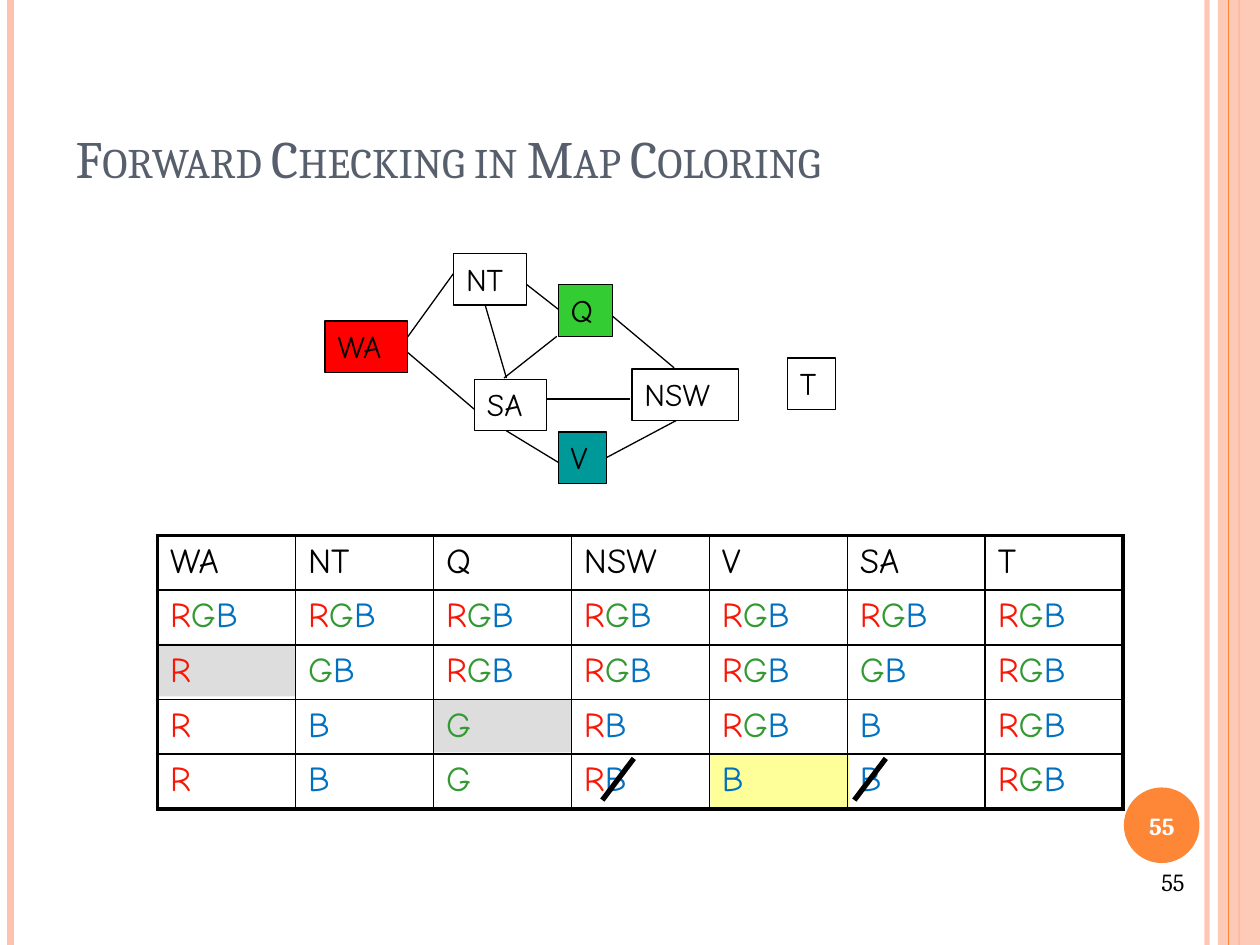
from dataclasses import dataclass

from lxml import etree
from pptx import Presentation
from pptx.dml.color import RGBColor
from pptx.enum.shapes import MSO_CONNECTOR, MSO_SHAPE
from pptx.enum.text import MSO_ANCHOR, PP_ALIGN
from pptx.oxml import parse_xml
from pptx.oxml.ns import nsdecls, qn
from pptx.util import Pt

STRAIGHT = MSO_CONNECTOR.STRAIGHT
RECTANGLE, OVAL = MSO_SHAPE.RECTANGLE, MSO_SHAPE.OVAL
LEFT, CENTER, RIGHT = PP_ALIGN.LEFT, PP_ALIGN.CENTER, PP_ALIGN.RIGHT
TOP, MIDDLE, BOTTOM = MSO_ANCHOR.TOP, MSO_ANCHOR.MIDDLE, MSO_ANCHOR.BOTTOM

SERIF, HAND = "Cambria", "Comic Neue"
BLACK, WHITE, ORANGE, PEACH = "000000", "FFFFFF", "FE8637", "FEC3AE"
RIGHT_SIDE = 3
NODE_HEIGHT = 29.5
TABLE_LEFT, TABLE_TOP, TABLE_WIDTH, ROW_HEIGHT = 90, 306, 552, 30.25
LETTER_COLORS = {"R": "F81706", "G": "339933", "B": "0070C0"}
HEADERS = ["WA", "NT", "Q", "NSW", "V", "SA", "T"]
DOMAINS = [
    ["RGB"] * 7,
    ["R", "GB", "RGB", "RGB", "RGB", "GB", "RGB"],
    ["R", "B", "G", "RB", "RGB", "B", "RGB"],
    ["R", "B", "G", "RB", "B", "B", "RGB"],
]


@dataclass
class Box:
    left: float
    top: float
    width: float
    height: float
    fill: str
    opacity: int = 100


@dataclass
class Region:
    name: str
    left: float
    top: float
    width: float
    fill: str = WHITE


@dataclass
class Line:
    x1: float
    y1: float
    x2: float
    y2: float
    width: float = 0.75
    color: str = BLACK
    opacity: int = 100
    begin_region: str = ""


STRIPES = [
    Line(689.8, 0, 689.8, 540, 3, PEACH, 93),
    Line(6, 0, 6, 540, 4.5, PEACH),
    Line(708, 0, 708, 540, 1.5, ORANGE),
]
SIDE_BAND = Box(696, 0, 24, 540, PEACH, 87)
BAND_LINE = Line(702, 0, 702, 540, 0.75, ORANGE)
NUMBER_DISC = Box(642.25, 450, 43.2, 43.2, ORANGE)
HIGHLIGHTS = [
    Box(89.3, 368, 79.2, 30, "DDDDDD"),
    Box(406, 431.25, 79.2, 30, "FFFF99"),
    Box(247.7, 400, 79.2, 30, "DDDDDD"),
]
REGIONS = [
    Region("T", 450, 204.6, 27.5),
    Region("WA", 185.8, 183.4, 47, "FF0000"),
    Region("NT", 259.2, 144.8, 41.8),
    Region("SA", 271.2, 216.7, 41),
    Region("Q", 319, 162.7, 31, "33CC33"),
    Region("NSW", 361.2, 210.8, 61),
    Region("V", 319, 246.8, 27.5, "009999"),
]
BORDERS = [
    Line(229, 198, 259.2, 156.2),
    Line(229, 198, 271.2, 234),
    Line(277.2, 174.2, 289.4, 216),
    Line(289.4, 246.2, 319, 264.2),
    Line(349.2, 180, 385.2, 210.2),
    Line(297.4, 159.8, 320.4, 177.8),
    Line(346.5, 261.5, 387.4, 239.8, begin_region="V"),
    Line(318.2, 192.2, 288, 216),
    Line(306, 228, 360, 228),
]
STRIKES = [Line(x, 457.2, x + 18, 433.4, 3) for x in (488.2, 344.2)]


def rgb(color: str) -> RGBColor:
    return RGBColor.from_string(color)


def set_opacity(fill_parent, percent: int) -> None:
    if percent < 100:
        color = fill_parent.find(".//" + qn("a:srgbClr"))
        etree.SubElement(color, qn("a:alpha"), val=str(percent * 1000))


def format_text(paragraph, size: float, name: str, color: str, align=LEFT, bold=False) -> None:
    paragraph.alignment = align
    font = paragraph.font
    font.size, font.name, font.bold = Pt(size), name, bold
    font.color.rgb = rgb(color)


def draw_line(slide, line: Line):
    connector = slide.shapes.add_connector(
        STRAIGHT, Pt(line.x1), Pt(line.y1), Pt(line.x2), Pt(line.y2))
    connector.line.width = Pt(line.width)
    connector.line.color.rgb = rgb(line.color)
    properties = connector._element.spPr
    set_opacity(properties, line.opacity)
    etree.SubElement(properties, qn("a:effectLst"))
    return connector


def draw_box(slide, box: Box, kind=RECTANGLE):
    shape = slide.shapes.add_shape(
        kind, Pt(box.left), Pt(box.top), Pt(box.width), Pt(box.height))
    shape.shadow.inherit = False
    shape.fill.solid()
    shape.fill.fore_color.rgb = rgb(box.fill)
    shape.line.fill.background()
    set_opacity(shape._element.spPr, box.opacity)
    return shape


def draw_region(slide, region: Region):
    shape = draw_box(slide, Box(region.left, region.top, region.width, NODE_HEIGHT, region.fill))
    shape.line.width = Pt(0.75)
    shape.line.color.rgb = rgb(BLACK)
    frame = shape.text_frame
    frame.word_wrap, frame.vertical_anchor = True, TOP
    frame.text = region.name
    format_text(frame.paragraphs[0], 18, HAND, BLACK)
    return shape


def draw_map(slide) -> None:
    nodes = {region.name: draw_region(slide, region) for region in REGIONS}
    for border in BORDERS:
        connector = draw_line(slide, border)
        if border.begin_region:
            connector.begin_connect(nodes[border.begin_region], RIGHT_SIDE)
        nodes["WA"]._element.addprevious(connector._element)


def set_cell_borders(cell, row: int, column: int) -> None:
    outer = {"L": column == 0, "R": column == len(HEADERS) - 1,
             "T": row == 0, "B": row == len(DOMAINS)}
    properties = cell._tc.get_or_add_tcPr()
    for index, (side, is_outer) in enumerate(outer.items()):
        width = Pt(2.25 if is_outer else 1)
        properties.insert(index, parse_xml(
            f'<a:ln{side} {nsdecls("a")} w="{width}"><a:solidFill>'
            f'<a:srgbClr val="{BLACK}"/></a:solidFill></a:ln{side}>'))


def draw_table(slide) -> None:
    rows = [HEADERS] + DOMAINS
    table = slide.shapes.add_table(
        len(rows), len(HEADERS), Pt(TABLE_LEFT), Pt(TABLE_TOP),
        Pt(TABLE_WIDTH), Pt(ROW_HEIGHT * len(rows))).table
    table.first_row = table.horz_banding = False
    for row, texts in enumerate(rows):
        for column, text in enumerate(texts):
            cell = table.cell(row, column)
            cell.fill.background()
            set_cell_borders(cell, row, column)
            paragraph = cell.text_frame.paragraphs[0]
            format_text(paragraph, 20, HAND, BLACK)
            for part in text if row else [text]:
                run = paragraph.add_run()
                run.text = part
                if row:
                    run.font.color.rgb = rgb(LETTER_COLORS[part])


def draw_number(slide, left, top, width, height, color, align, anchor, bold) -> None:
    frame = slide.shapes.add_textbox(Pt(left), Pt(top), Pt(width), Pt(height)).text_frame
    frame.word_wrap, frame.vertical_anchor = True, anchor
    frame.text = "55"
    format_text(frame.paragraphs[0], 14, SERIF, color, align, bold)


def draw_title(slide) -> None:
    title = slide.shapes.title
    title.left, title.top, title.width, title.height = Pt(36), Pt(21.6), Pt(588), Pt(90)
    frame = title.text_frame
    frame.text = "Forward Checking in Map Coloring"
    frame.vertical_anchor = BOTTOM
    format_text(frame.paragraphs[0], 30, SERIF, "575F6D")
    frame.paragraphs[0].font._element.set("cap", "small")


def main() -> None:
    presentation = Presentation()
    presentation.slide_width, presentation.slide_height = Pt(720), Pt(540)
    slide = presentation.slides.add_slide(presentation.slide_layouts[5])
    for stripe in STRIPES:
        draw_line(slide, stripe)
    draw_box(slide, SIDE_BAND)
    draw_line(slide, BAND_LINE)
    draw_box(slide, NUMBER_DISC, OVAL)
    draw_title(slide)
    draw_number(slide, 640, 451.4, 48, 41, WHITE, CENTER, MIDDLE, True)
    for highlight in HIGHLIGHTS:
        draw_box(slide, highlight)
    draw_table(slide)
    draw_map(slide)
    for strike in STRIKES:
        draw_line(slide, strike)
    draw_number(slide, 516, 492, 168, 37.5, BLACK, RIGHT, TOP, False)
    presentation.save("out.pptx")


if __name__ == "__main__":
    main()
